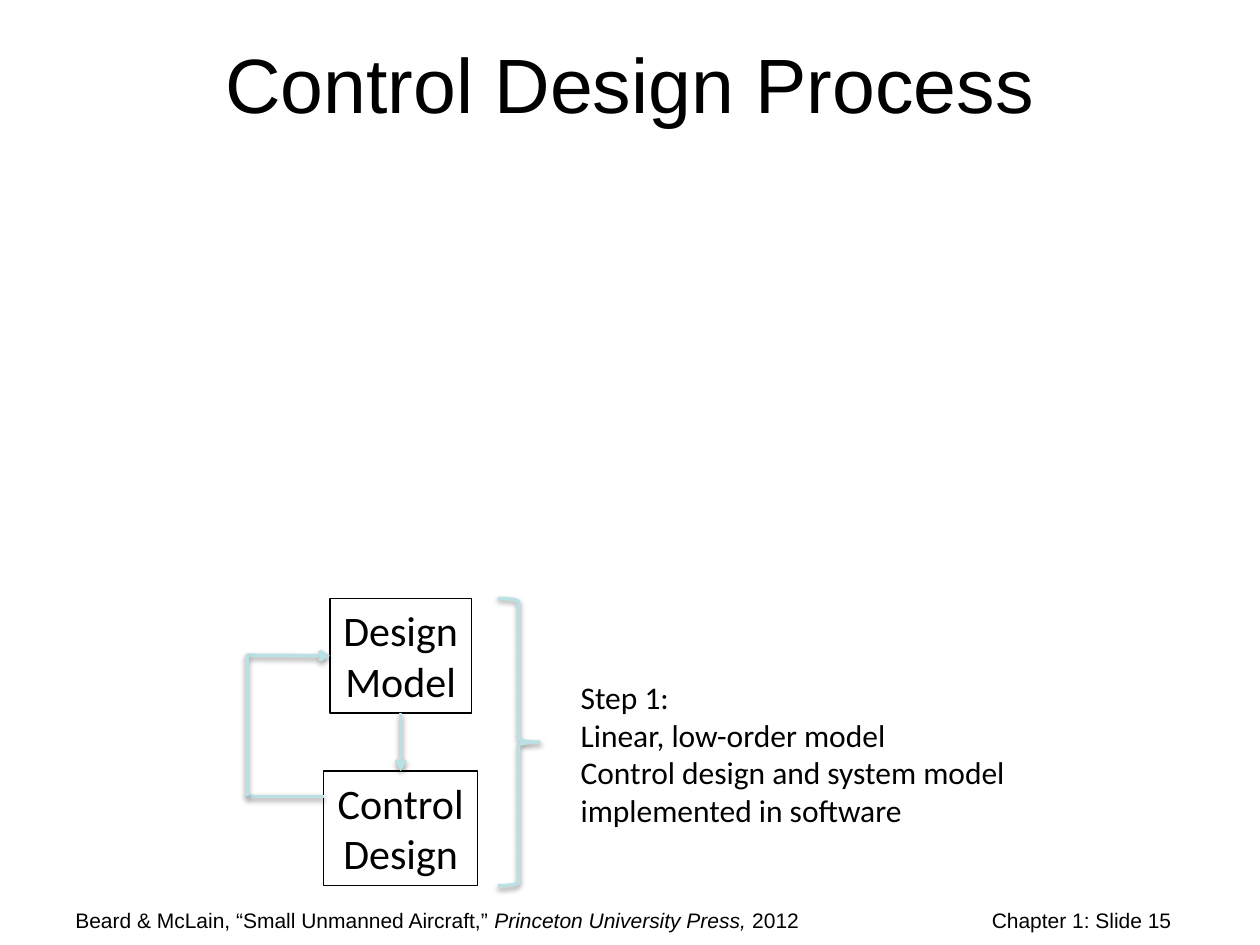
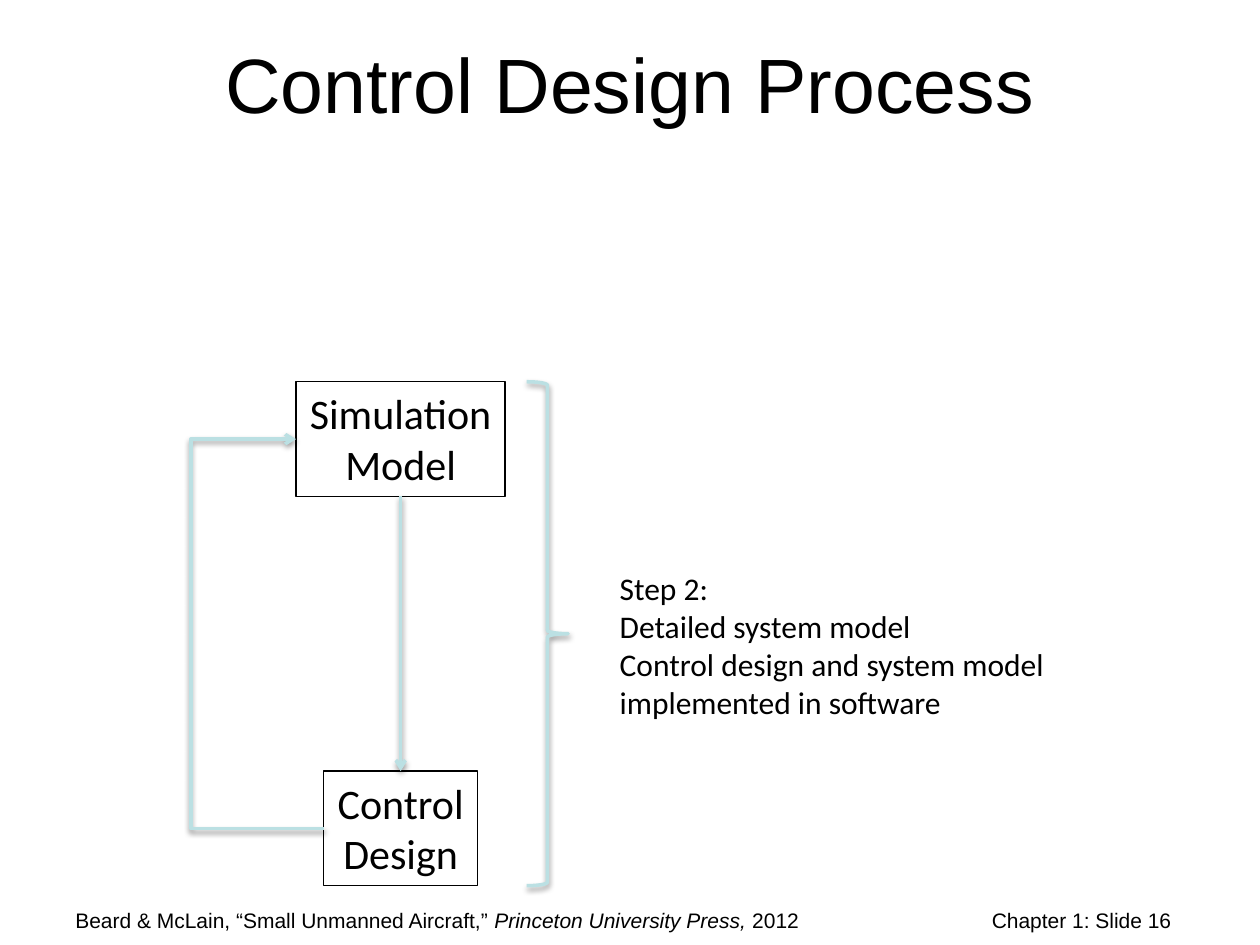
from dataclasses import dataclass

from lxml import etree
from pptx import Presentation, util as u
from pptx.dml.color import RGBColor
from pptx.enum import shapes, text
from pptx.oxml import ns

TOP, LEFT, BOTTOM = 0, 1, 2  # connection sites of a rectangle


@dataclass(frozen=True)
class Theme:
    ink: RGBColor = RGBColor(0x00, 0x00, 0x00)
    accent: RGBColor = RGBColor(0xBB, 0xE0, 0xE3)
    heading_font: str = "Arial"
    diagram_font: str = "Calibri"
    title_size: int = 44
    box_size: int = 24
    note_size: int = 18
    footer_size: int = 12
    box_line: float = 0.75
    flow_line: float = 2


def add_child(parent, tag, **attributes):
    return etree.SubElement(parent, ns.qn(tag), attributes)


class Deck:
    def __init__(self, theme):
        self.theme = theme
        self.presentation = Presentation()
        self.presentation.slide_width = u.Inches(10)
        self.presentation.slide_height = u.Inches(7.5)
        self.slide = None

    # Shared formatting
    def set_font(self, paragraph, name, size):
        paragraph.font.name = name
        paragraph.font.size = u.Pt(size)
        paragraph.font.color.rgb = self.theme.ink

    def fill_text(self, shape, lines, size, alignment):
        frame = shape.text_frame
        frame.text = "\n".join(lines)
        frame.word_wrap = False
        frame.auto_size = text.MSO_AUTO_SIZE.SHAPE_TO_FIT_TEXT
        frame.vertical_anchor = text.MSO_ANCHOR.TOP
        for paragraph in frame.paragraphs:
            paragraph.alignment = alignment
            self.set_font(paragraph, self.theme.diagram_font, size)

    def style_flow(self, shape):
        """Accent line with a soft shadow below it."""
        shape.line.color.rgb = self.theme.accent
        shape.line.width = u.Pt(self.theme.flow_line)
        effects = add_child(shape._element.spPr, "a:effectLst")
        shadow = add_child(effects, "a:outerShdw", blurRad="40000", dist="20000",
                           dir="5400000", rotWithShape="0")
        color = add_child(shadow, "a:srgbClr", val=str(self.theme.ink))
        add_child(color, "a:alpha", val="38000")

    # Slide frame
    def new_slide(self, title, number):
        layout = self.presentation.slide_layouts[5]
        self.slide = self.presentation.slides.add_slide(layout)
        self.title(title)
        self.footer(number)

    def title(self, wording):
        shape = self.slide.shapes.title
        shape.left, shape.top = u.Inches(0.5), u.Inches(0.22)
        shape.width, shape.height = u.Inches(9), u.Inches(0.87)
        shape.text_frame.text = wording
        shape.text_frame.vertical_anchor = text.MSO_ANCHOR.MIDDLE
        paragraph = shape.text_frame.paragraphs[0]
        paragraph.alignment = text.PP_ALIGN.CENTER
        self.set_font(paragraph, self.theme.heading_font, self.theme.title_size)

    def footer(self, number):
        shape = self.slide.shapes.add_textbox(
            u.Inches(0.5), u.Inches(7.15), u.Inches(9), u.Inches(0.35))
        shape.text_frame.word_wrap = True
        paragraph = shape.text_frame.paragraphs[0]
        tabs = add_child(paragraph._p.get_or_add_pPr(), "a:tabLst")
        add_child(tabs, "a:tab", pos=str(u.Inches(8.7)), algn="r")
        self.set_font(paragraph, self.theme.heading_font, self.theme.footer_size)
        for wording, italic in (
                ("Beard & McLain, “Small Unmanned Aircraft,” ", False),
                ("Princeton University Press,", True),
                (f" 2012\tChapter 1: Slide {number}", False)):
            run = paragraph.add_run()
            run.text = wording
            run.font.italic = italic

    # Diagram elements
    def box(self, lines, center, top, width):
        shape = self.slide.shapes.add_shape(
            shapes.MSO_SHAPE.RECTANGLE, u.Inches(center - width / 2),
            u.Inches(top), u.Inches(width), u.Inches(0.91))
        shape.shadow.inherit = False
        shape.fill.background()
        shape.line.color.rgb = self.theme.ink
        shape.line.width = u.Pt(self.theme.box_line)
        self.fill_text(shape, lines, self.theme.box_size, text.PP_ALIGN.CENTER)
        return shape

    def note(self, lines, left, top):
        shape = self.slide.shapes.add_textbox(
            u.Inches(left), u.Inches(top), u.Inches(3.67), u.Inches(1.31))
        self.fill_text(shape, lines, self.theme.note_size, text.PP_ALIGN.LEFT)

    def brace(self, left, top, bottom):
        shape = self.slide.shapes.add_shape(
            shapes.MSO_SHAPE.RIGHT_BRACE, u.Inches(left), u.Inches(top),
            u.Inches(0.33), u.Inches(bottom - top))
        shape.fill.background()
        self.style_flow(shape)

    def connector(self, start=(0, 0), end=(0, 0), begin_at=None, end_at=None,
                  arrow=False, kind=shapes.MSO_CONNECTOR.STRAIGHT):
        """Join points in inches, or (box, site) pairs where given."""
        line = self.slide.shapes.add_connector(
            kind, *(u.Inches(value) for value in (*start, *end)))
        if begin_at:
            line.begin_connect(*begin_at)
        if end_at:
            line.end_connect(*end_at)
        self.style_flow(line)
        if arrow:
            add_child(line.line._get_or_add_ln(), "a:tailEnd", type="arrow")
        return line

    def elbow(self, begin_at, end_at, bend):
        """Elbow arrow; bend is the middle leg's place as a share of the width."""
        line = self.connector(begin_at=begin_at, end_at=end_at, arrow=True,
                              kind=shapes.MSO_CONNECTOR.ELBOW)
        guides = line._element.spPr.find(ns.qn("a:prstGeom")).get_or_add_avLst()
        add_child(guides, "a:gd", name="adj1", fmla=f"val {round(bend * 100000)}")


def main():
    deck = Deck(Theme())
    center, control_top, bottom = 3.18, 6.12, 7.03
    steps = [
        # number, model, its top and width, brace left, note left, model kind
        (1, "Design", 4.75, 1.12, 3.95, 4.51, "Linear, low-order model"),
        (2, "Simulation", 3.03, 1.66, 4.18, 4.82, "Detailed system model"),
    ]
    for step, model_name, top, width, brace_left, note_left, model_kind in steps:
        deck.new_slide("Control Design Process", 14 + step)

        # Model above control design
        model = deck.box([model_name, "Model"], center, top, width)
        control = deck.box(["Control", "Design"], center, control_top, 1.22)
        deck.connector(begin_at=(model, BOTTOM), end_at=(control, TOP), arrow=True)

        # Feedback from control design to the model
        if step == 1:
            loop_left, loop_top, loop_bottom = 1.96, 5.2, 6.32
            deck.connector((loop_left, loop_top), end_at=(model, LEFT), arrow=True)
            deck.connector((2.57, loop_bottom), (loop_left, loop_bottom))
            deck.connector((loop_left, loop_top), (loop_left, loop_bottom))
        else:
            deck.elbow((control, LEFT), (model, LEFT), bend=4.79)

        # Explanation beside the brace
        deck.brace(brace_left, top, bottom)
        deck.note([f"Step {step}:", model_kind,
                   "Control design and system model\vimplemented in software"],
                  note_left, (top + bottom) / 2 - 0.56)
    deck.presentation.save("out.pptx")


if __name__ == "__main__":
    main()
